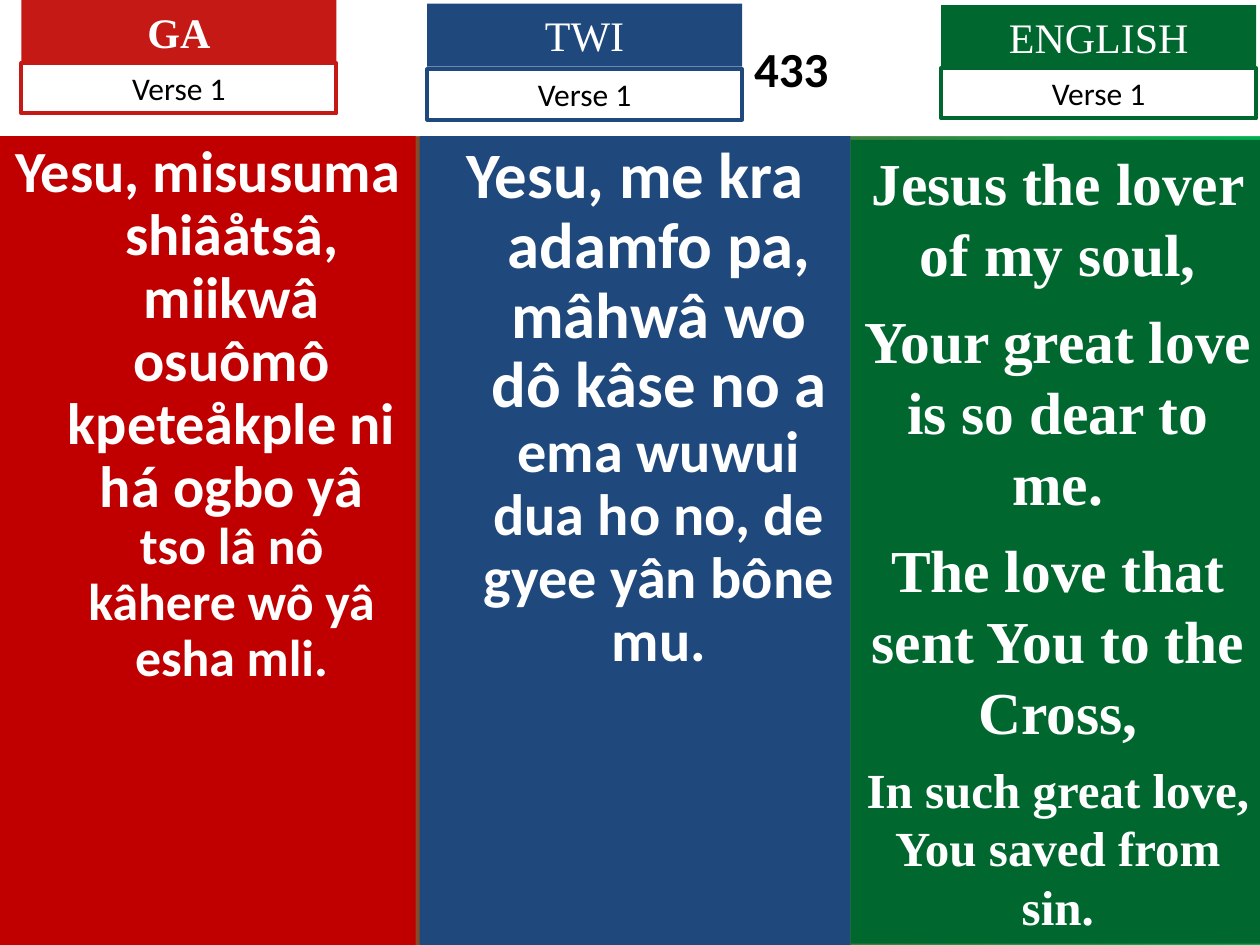
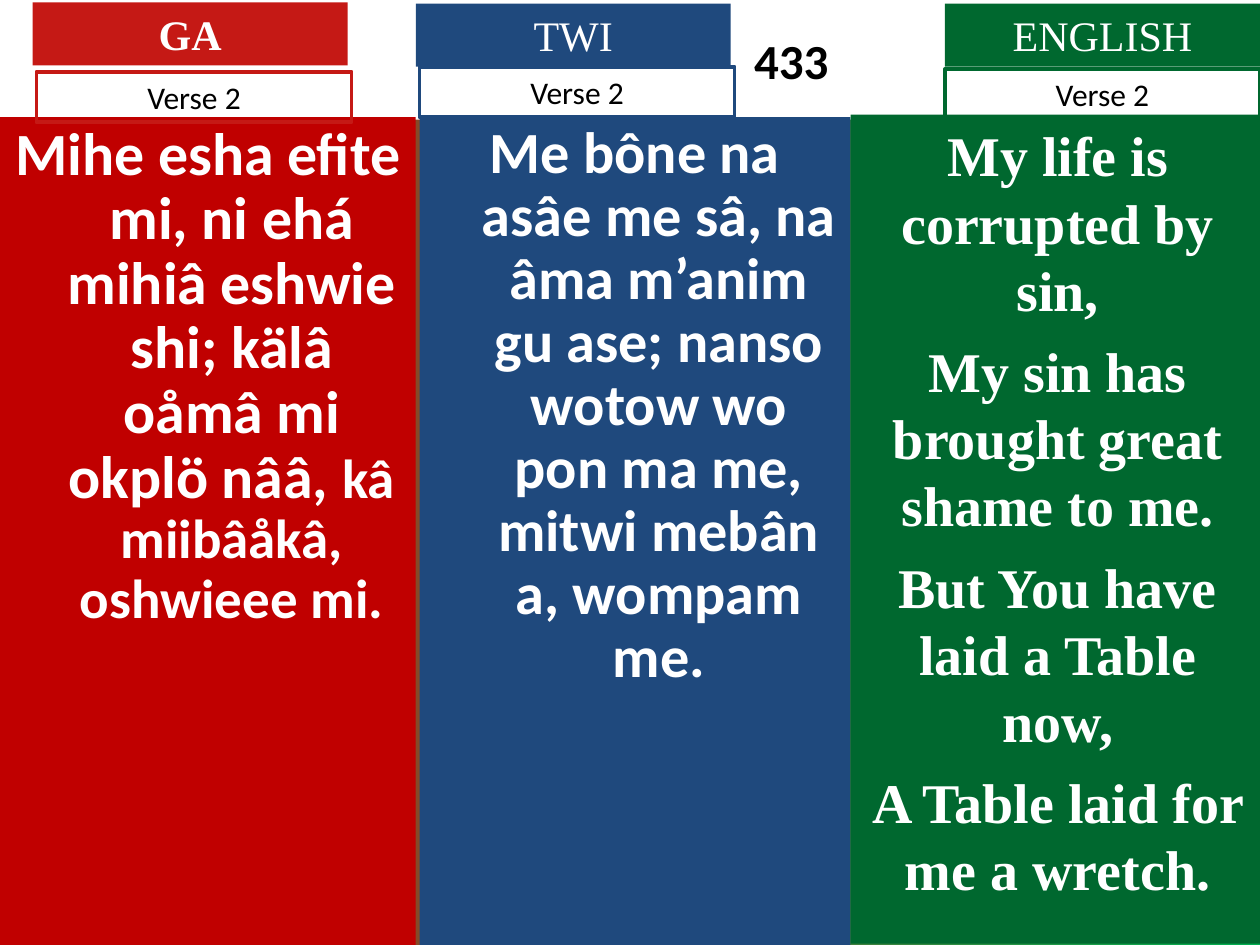
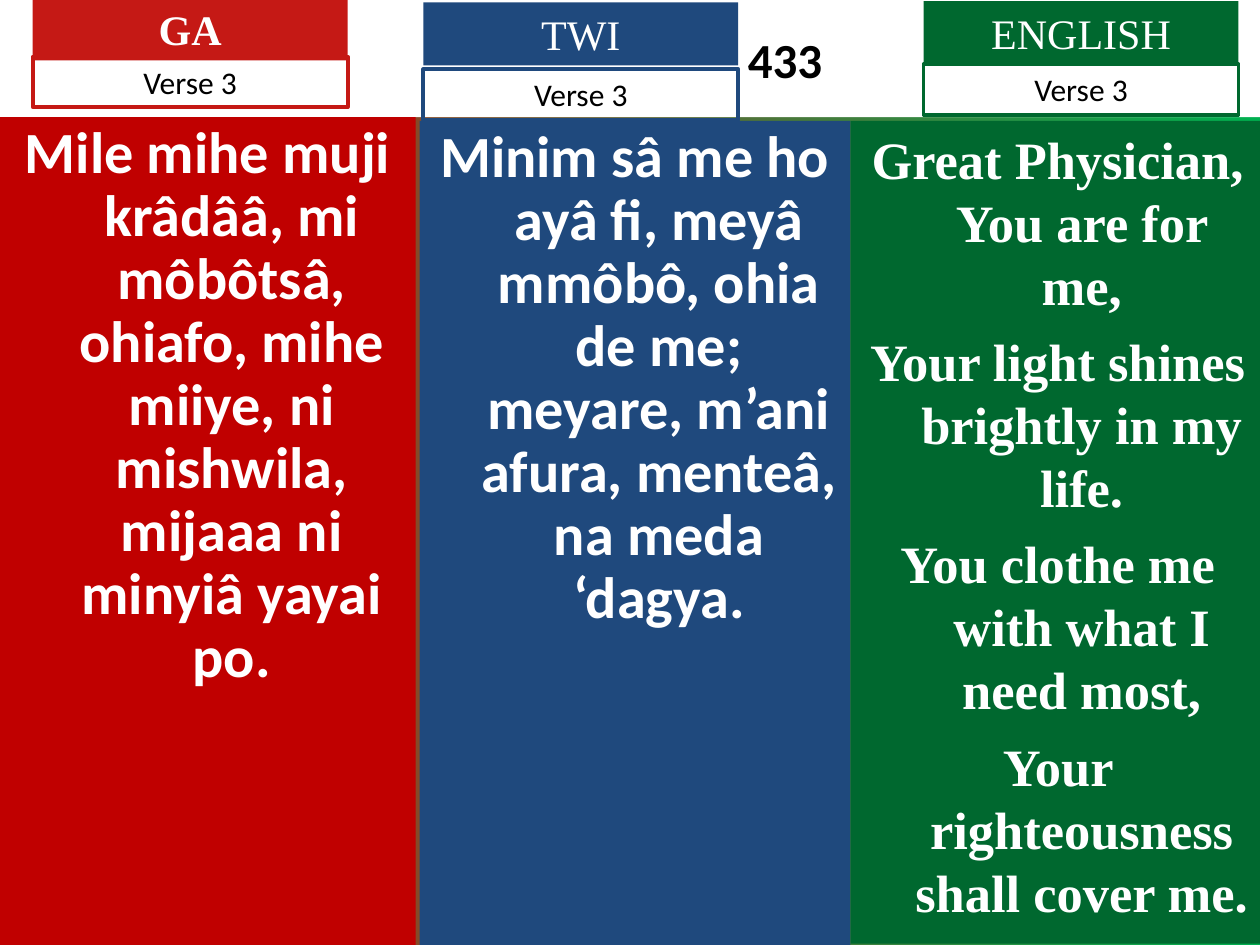
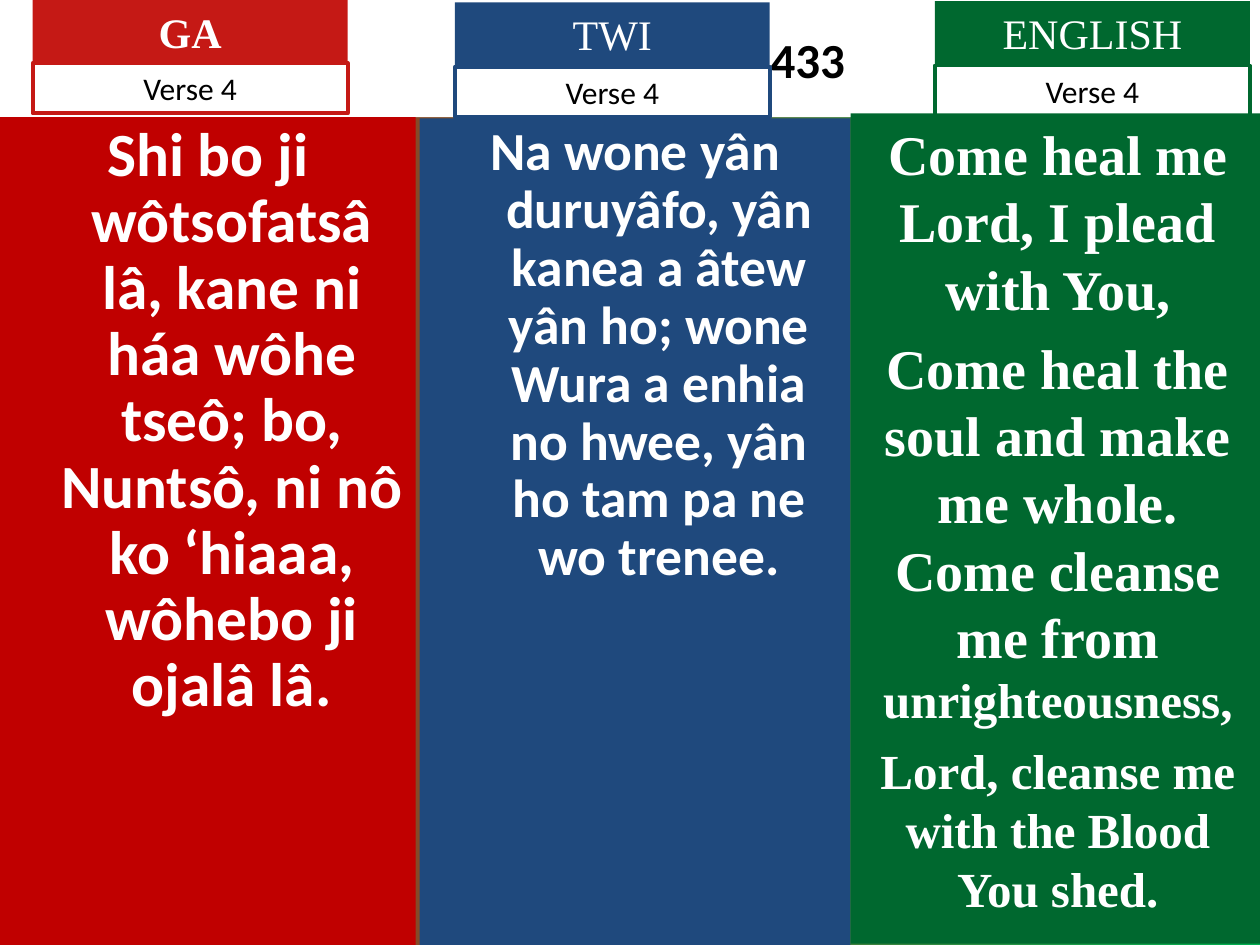
from dataclasses import dataclass

from pptx import Presentation
from pptx.dml.color import RGBColor
from pptx.enum.shapes import MSO_SHAPE
from pptx.enum.text import MSO_ANCHOR, MSO_AUTO_SIZE, PP_ALIGN
from pptx.util import Inches, Pt

RECT = MSO_SHAPE.RECTANGLE
CENTER = PP_ALIGN.CENTER
TOP, MIDDLE = MSO_ANCHOR.TOP, MSO_ANCHOR.MIDDLE
GROW = MSO_AUTO_SIZE.SHAPE_TO_FIT_TEXT

COLS, ROWS = 10, 7.5
WIDE, HIGH = Inches(10), Inches(7.5)


@dataclass(frozen=True)
class Theme:
    white: str = "FFFFFF"
    black: str = "000000"
    fade: tuple = ("C51915", "00B050")
    sans: str = "Calibri"
    serif: str = "Times New Roman"
    title: float = 28
    label: float = 24
    verse: float = 18
    border: float = 2.25
    hang: float = 0.38
    pad: float = 0.1
    tag: float = 2.5


@dataclass(frozen=True)
class Tongue:
    name: str
    left: float
    width: float
    base: float
    panel: str
    tag: str
    font: str
    bold: bool = False
    lead: float = 1


THEME = Theme()
TONGUES = (
    Tongue("GA", 0, 3.3, ROWS, "C00000", "C51915", THEME.sans, True, 0.9),
    Tongue("TWI", 3.33, 3.42, ROWS, "1F497D", "1F497D", THEME.sans, False, 0.9),
    Tongue("ENGLISH", 6.75, 3.29, 7.49, "00682F", "00682F", THEME.serif),
)


@dataclass(frozen=True)
class Part:
    top: float
    label: tuple
    verse: tuple
    lines: tuple
    hang: bool = True


HYMN = (
    (1.08, 6.28, (
        Part(1.08, (0.17, 0), (0.17, 0.5), (
            (("Yesu, misusuma shiâåtsâ, miikwâ osuômô kpeteåkple ni há ogbo yâ ", 33.3),
             ("tso lâ nô kâhere wô yâ esha mli.", 29.6)),)),
        Part(1.08, (3.39, 0.03), (3.39, 0.55), (
            (("Yesu, me kra adamfo pa, mâhwâ wo dô kâse no a ", 37),
             ("ema wuwui dua ho no, de gyee yân bône mu.", 33.3)),)),
        Part(1.11, (7.47, 0.04), (7.47, 0.54), (
            (("Jesus the lover of my soul,", 34),),
            (("Your great love is so dear to me.", 34),),
            (("The love that sent You to the Cross,", 34),),
            (("In such great love, You saved from sin.", 28),)), False),
    )),
    (0.95, 6.28, (
        Part(0.93, (0.26, 0.02), (0.29, 0.57), (
            (("Mihe esha efite mi, ni ehá mihiâ eshwie shi; kälâ oåmâ mi okplö nââ, ", 34.2),
             ("kâ miibâåkâ, oshwieee mi.", 31.4)),)),
        Part(0.93, (3.3, 0.03), (3.33, 0.53), (
            (("Me bône na asâe me sâ, na âma m’anim gu ase; nanso wotow wo pon ma me, "
              "mitwi mebân a, wompam me.", 33.3),),)),
        Part(0.91, (7.5, 0.03), (7.5, 0.55), (
            (("My life is corrupted by sin,", 32),),
            (("My sin has brought great shame to me.", 32),),
            (("But You have laid a Table now,", 32),),
            (("A Table laid for me a wretch.", 32),)), False),
    )),
    (0.93, 6.23, (
        Part(0.93, (0.26, -0.02), (0.26, 0.45), (
            (("Mile mihe muji krâdââ, mi môbôtsâ, ohiafo, mihe miiye, ni mishwila, "
              "mijaaa ni minyiâ yayai po.", 33.3),),)),
        Part(0.96, (3.36, 0.02), (3.36, 0.55), (
            (("Minim sâ me ho ayâ fi, meyâ mmôbô, ohia de me; meyare, m’ani afura, "
              "menteâ, na meda ‘dagya.", 33.3),),)),
        Part(0.96, (7.33, 0.01), (7.33, 0.51), (
            (("Great Physician, You are for me,", 30),),
            (("Your light shines brightly in my life.", 30),),
            (("You clothe me with what I need most,", 30),),
            (("Your righteousness shall cover me.", 30),))),
    )),
    (0.93, 6.41, (
        Part(0.93, (0.26, 0), (0.26, 0.5), (
            (("Shi bo ji wôtsofatsâ lâ, kane ni háa wôhe tseô; bo, Nuntsô, ni nô ko "
              "‘hiaaa, wôhebo ji ojalâ lâ.", 35.1),),)),
        Part(0.94, (3.61, 0.02), (3.61, 0.53), (
            (("Na wone yân duruyâfo, yân kanea a âtew yân ho; wone Wura a enhia no "
              "hwee, yân ho tam pa ne wo trenee.", 30.6),),)),
        Part(0.9, (7.42, 0.01), (7.42, 0.52), (
            (("Come heal me Lord, I plead with You,", 32),),
            (("Come heal the soul and make me whole. Come cleanse me from ", 32),
             ("unrighteousness,", 28)),
            (("Lord, cleanse me with the Blood You shed.", 28),)), False),
    )),
)


def span(cols):
    return round(WIDE * cols / COLS)


def color(code):
    return RGBColor.from_string(code)


def add_box(slide, left, top, width, height, fill=None, line=None, anchor=TOP):
    box = slide.shapes.add_shape(RECT, *map(span, (left, top, width, height)))
    box.shadow.inherit = False
    if fill:
        box.fill.solid()
        box.fill.fore_color.rgb = color(fill)
    else:
        box.fill.background()
    if line:
        box.line.color.rgb = color(line)
        box.line.width = Pt(THEME.border)
    else:
        box.line.fill.background()
    box.text_frame.word_wrap = True
    box.text_frame.vertical_anchor = anchor
    return box


def style(para, font, size, ink, bold=False):
    para.alignment = CENTER
    para.font.name = font
    para.font.size = Pt(size)
    para.font.bold = bold
    para.font.color.rgb = color(ink)


def add_title(slide, height, middle):
    frame = add_box(slide, 0, 0, COLS, height, THEME.white, anchor=MIDDLE).text_frame
    frame.margin_left = span(2 * middle - COLS + THEME.pad)
    para = frame.paragraphs[0]
    para.text = "433"
    style(para, THEME.sans, THEME.title, THEME.black, True)


def add_panel(slide, tongue, part):
    frame = add_box(slide, tongue.left, part.top, tongue.width,
                    tongue.base - part.top, tongue.panel).text_frame
    for row, runs in enumerate(part.lines):
        para = frame.add_paragraph() if row else frame.paragraphs[0]
        size = runs[0][1]
        if part.hang:
            props = para._p.get_or_add_pPr()
            props.set("marL", str(span(THEME.hang)))
            props.set("indent", str(-span(THEME.hang)))
        para.line_spacing = tongue.lead
        para.space_before = Pt(min(s for _, s in runs) / 4 if row else 0)
        style(para, tongue.font, size, THEME.white, True)
        for text, points in runs:
            run = para.add_run()
            run.text = text
            if points != size:
                run.font.size = Pt(points)


def add_tag(slide, spot, height, text, font, size, ink, bold=False, fill=None, line=None):
    frame = add_box(slide, *spot, THEME.tag, height, fill, line).text_frame
    frame.auto_size = GROW
    para = frame.paragraphs[0]
    para.text = text
    style(para, font, size, ink, bold)


def set_fade(master):
    fill = master.background.fill
    fill.gradient()
    fill.gradient_angle = 0
    for stop, code in zip(fill.gradient_stops, THEME.fade):
        stop.color.rgb = color(code)


def main():
    deck = Presentation()
    deck.slide_width, deck.slide_height = WIDE, HIGH
    set_fade(deck.slide_master)
    for verse, (height, middle, parts) in enumerate(HYMN, 1):
        slide = deck.slides.add_slide(deck.slide_layouts[6])
        add_title(slide, height, middle)
        for tongue, part in zip(TONGUES, parts):
            add_panel(slide, tongue, part)
            add_tag(slide, part.label, 0.5, tongue.name, THEME.serif, THEME.label,
                    THEME.white, tongue.bold, fill=tongue.tag)
            add_tag(slide, part.verse, 0.4, f"Verse {verse}", THEME.sans, THEME.verse,
                    THEME.black, line=tongue.tag)
    deck.save("out.pptx")


if __name__ == "__main__":
    main()
